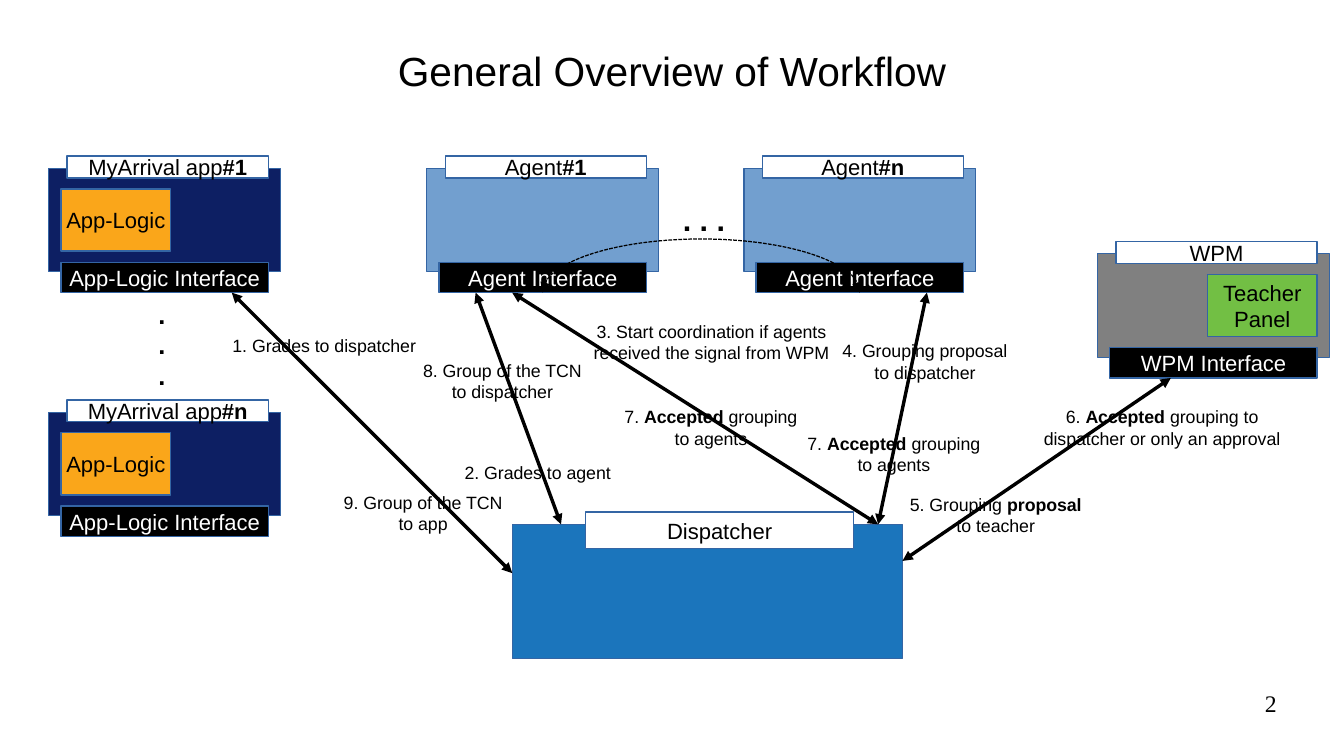
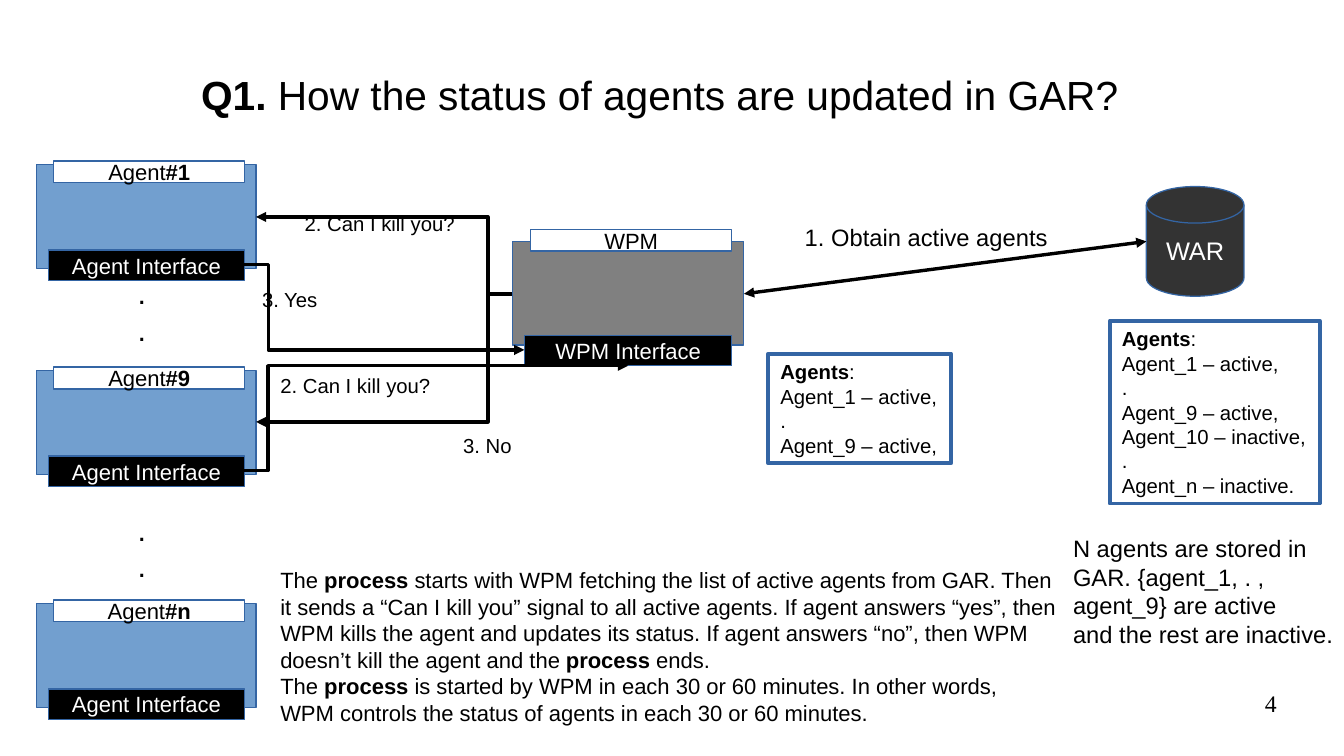
import lxml.etree
import pptx
import pptx.dml.color
import pptx.enum.dml
import pptx.enum.shapes
import pptx.enum.text
import pptx.oxml.ns
import pptx.util

RGB = pptx.dml.color.RGBColor
BLACK = RGB(0x00, 0x00, 0x00)
WHITE = RGB(0xFF, 0xFF, 0xFF)
OUTLINE = RGB(0x34, 0x65, 0xA4)
AGENT_BLUE = RGB(0x72, 0x9F, 0xCF)
DISPATCH_BLUE = RGB(0x1B, 0x75, 0xBC)
APP_NAVY = RGB(0x0D, 0x1F, 0x63)
LOGIC_ORANGE = RGB(0xFA, 0xA6, 0x1A)
PANEL_GREEN = RGB(0x72, 0xBF, 0x44)
WPM_GREY = RGB(0x80, 0x80, 0x80)
STORE_GREY = RGB(0x33, 0x33, 0x33)

SHAPE = pptx.enum.shapes.MSO_SHAPE
CONNECTOR = pptx.enum.shapes.MSO_CONNECTOR
ALIGN = pptx.enum.text.PP_ALIGN
ANCHOR = pptx.enum.text.MSO_ANCHOR
NO_FIT = pptx.enum.text.MSO_AUTO_SIZE.NONE
Pt = pptx.util.Pt
qn = pptx.oxml.ns.qn

# Grid of square cells, ten to the inch
COLUMNS, ROWS = 110.2, 62
CARD_WIDTH, CARD_HEIGHT = 19, 8.5
INSETS = {"margin_left": Pt(7.2), "margin_right": Pt(7.2),
          "margin_top": Pt(3.6), "margin_bottom": Pt(3.6)}
NO_INSETS = dict.fromkeys(INSETS, 0)


def cells(*counts):
    return [pptx.util.Inches(count / 10) for count in counts]


def apply(target, formats):
    for name, value in formats.items():
        setattr(target, name, value)


class Sketch:
    """Holds the deck, its style and the page being drawn."""

    def __init__(self):
        self.deck = pptx.Presentation()
        self.deck.slide_width, self.deck.slide_height = cells(COLUMNS, ROWS)
        self.page = None

    def start_page(self, title, place, number):
        self.page = self.deck.slides.add_slide(self.deck.slide_layouts[5])
        heading = self.page.shapes.title
        apply(heading, dict(zip(("left", "top", "width", "height"), cells(*place))))
        self.fill_text(heading, [title], 24, align=ALIGN.CENTER,
                       anchor=ANCHOR.MIDDLE, insets=NO_INSETS, wrap=True)
        self.label((79, 56.5, 25.7, 4.3), number, size=14, align=ALIGN.RIGHT,
                   font="Times New Roman", insets=NO_INSETS, wrap=True)

    def fill_text(self, box, paragraphs, size, color=BLACK, align=ALIGN.LEFT,
                  anchor=ANCHOR.TOP, font="Arial", insets=INSETS, wrap=False):
        """Fill a box; **...** marks bold, a line feed breaks the line."""
        frame = box.text_frame
        apply(frame, {**insets, "auto_size": NO_FIT, "word_wrap": wrap,
                      "vertical_anchor": anchor})
        for index, text in enumerate(paragraphs):
            para = frame.add_paragraph() if index else frame.paragraphs[0]
            para.alignment = align
            for part, chunk in enumerate(text.split("**")):
                for row, line in enumerate(chunk.split("\n")):
                    if row:
                        para.add_line_break()
                    if line:
                        span = para.add_run()
                        span.text = line
                        apply(span.font, {"name": font, "size": Pt(size),
                                          "bold": part % 2 == 1})
                        span.font.color.rgb = color

    def label(self, place, *paragraphs, size=10.5, **style):
        box = self.page.shapes.add_textbox(*cells(*place))
        self.fill_text(box, paragraphs, size, **style)

    def block(self, place, fill, *paragraphs, kind=SHAPE.RECTANGLE, border=0,
              size=13, color=BLACK, align=ALIGN.CENTER, anchor=ANCHOR.MIDDLE):
        box = self.page.shapes.add_shape(kind, *cells(*place))
        box.shadow.inherit = False
        box.fill.solid()
        box.fill.fore_color.rgb = fill
        box.line.color.rgb = OUTLINE
        box.line.width = Pt(border)
        if paragraphs:
            self.fill_text(box, paragraphs, size, color, align, anchor)

    def card(self, left, top, fill, tag, port, width=CARD_WIDTH, shift=0):
        """Body with a name tag on its top edge and an interface below."""
        scale = width / CARD_WIDTH
        self.block((left, top, width, CARD_HEIGHT), fill)
        self.block((left + 1.5 * scale, top - 1 + shift, 16.5 * scale, 1.8), WHITE, tag)
        self.block((left + scale, top + 7.7 - shift, 17 * scale, 2.5), BLACK, port,
                   color=WHITE)

    def chip(self, left, top, fill, text):
        self.block((left, top, 9, 5.1), fill, text)

    def listing(self, place, *paragraphs):
        self.block(place, WHITE, *paragraphs, border=2.3, size=12,
                   align=ALIGN.LEFT, anchor=ANCHOR.TOP)

    def arrowheads(self, shape, ends):
        outline = shape.element.spPr.find(qn("a:ln"))
        for end in ends:
            lxml.etree.SubElement(outline, qn(f"a:{end}"), type="triangle")

    def arrow(self, start, finish, bend=None):
        """Straight two-way arrow, or a one-way elbow turning at column bend."""
        kind = CONNECTOR.STRAIGHT if bend is None else CONNECTOR.ELBOW
        link = self.page.shapes.add_connector(kind, *cells(*start, *finish))
        link.line.color.rgb = BLACK
        link.line.width = Pt(0)
        properties = link.element.spPr
        if bend is None:
            self.arrowheads(link, ("headEnd", "tailEnd"))
        else:
            turn = round(100000 * (bend - start[0]) / (finish[0] - start[0]))
            guides = properties.find(qn("a:prstGeom")).find(qn("a:avLst"))
            lxml.etree.SubElement(guides, qn("a:gd"), name="adj1", fmla=f"val {turn}")
            self.arrowheads(link, ("tailEnd",))
        lxml.etree.SubElement(properties, qn("a:effectLst"))

    def arch(self, left, right, base, rise):
        """Dashed half ellipse with an arrowhead at each end."""
        arc = self.page.shapes.add_shape(
            SHAPE.ARC, *cells(left, base - rise, right - left, 2 * rise))
        arc.shadow.inherit = False
        arc.adjustments[0], arc.adjustments[1] = 108, 0
        arc.fill.background()
        arc.line.color.rgb = BLACK
        arc.line.width = Pt(0)
        arc.line.dash_style = pptx.enum.dml.MSO_LINE.SQUARE_DOT
        self.arrowheads(arc, ("headEnd", "tailEnd"))


def draw_workflow(sketch):
    sketch.start_page("General Overview of Workflow", (5.5, 2.5, 99.2, 6.5), "2")

    # Components
    sketch.block((42, 43, 32, 11), DISPATCH_BLUE)
    sketch.block((48, 42, 22, 3), WHITE, "Dispatcher")
    for left, mark in ((35, "#1"), (61, "#n")):
        sketch.card(left, 13.8, AGENT_BLUE, f"Agent**{mark}**", "Agent Interface")
    sketch.card(90, 20.8, WPM_GREY, "WPM", "WPM Interface")
    sketch.chip(99, 22.5, PANEL_GREEN, "Teacher\nPanel")
    for top, mark in ((13.8, "#1"), (33.8, "#n")):
        sketch.card(4, top, APP_NAVY, f"MyArrival app**{mark}**", "App-Logic Interface")
        sketch.chip(5, top + 1.7, LOGIC_ORANGE, "App-Logic")
    sketch.label((12, 24, 2.6, 7.9), *["**.**"] * 3, size=15)
    sketch.label((55, 16, 5.5, 3.8), "**. . .**", size=18)

    # Message paths
    sketch.arch(44.5, 70.5, 24, 4.4)
    for start, finish in (((19, 24), (42, 47)), ((39, 24), (46, 43)),
                          ((76, 24), (72, 43)), ((74, 46), (96, 31)),
                          ((42, 24), (72, 43))):
        sketch.arrow(start, finish)

    # Numbered messages
    accepted = "7. **Accepted** grouping\nto agents"
    for left, top, width, text in (
            (18.1, 27, 17, "1. Grades to dispatcher"),
            (37.1, 37.4, 14, "2. Grades to agent"),
            (47.7, 25.8, 21.3, "3. Start coordination if agents\n"
                               "received the signal from WPM"),
            (68.1, 27.4, 15.5, "4. Grouping proposal\nto dispatcher"),
            (73.6, 40, 16.1, "5. Grouping **proposal**\nto teacher"),
            (84.6, 32.8, 21.4, "6. **Accepted** grouping to\n"
                               "dispatcher or only an approval"),
            (65, 35, 16.6, accepted),
            (50, 32.8, 16.6, accepted),
            (33.5, 29, 15.4, "8. Group of the TCN\nto dispatcher"),
            (27, 39.8, 15.4, "9. Group of the TCN\nto app")):
        sketch.label((left, top, width, 4.2), text, align=ALIGN.CENTER)


def draw_status_update(sketch):
    sketch.start_page("**Q1.** How the status of agents are updated in GAR?",
                      (4.5, 2.5, 99.2, 10.4), "4")

    # Components
    for top, mark in ((13.5, "#1"), (30.4, "#9"), (49.5, "#n")):
        sketch.card(3, top, AGENT_BLUE, f"Agent**{mark}**", "Agent Interface",
                    width=18, shift=0.7)
    for top in (22, 41.4):
        sketch.label((10.3, top, 2.7, 6.6), ".", ".", size=18)
    sketch.card(42, 19.8, WPM_GREY, "WPM", "WPM Interface")
    sketch.block((94, 15.3, 8, 9), STORE_GREY, "WAR",
                 kind=SHAPE.FLOWCHART_MAGNETIC_DISK, size=15, color=WHITE)

    # Agent lists
    active = ("**Agents**:", "Agent_1 – active,", ".", "Agent_9 – active,")
    sketch.listing((63, 29, 15, 9), *active)
    sketch.listing((91, 26.3, 17.2, 15), *active,
                   "Agent_10 – inactive,", ".", "Agent_n – inactive.")

    # Message paths
    sketch.arrow((61, 24.1), (94, 19.8))
    for start, finish, bend in (((42, 24.1), (21, 17.8), 40),
                                ((42, 24.1), (21, 34.6), 40),
                                ((20, 21.7), (43, 28.7), 22),
                                ((20, 38.6), (51.5, 30), 22)):
        sketch.arrow(start, finish, bend)

    # Numbered messages
    question = "2. Can I kill you?"
    for left, top, width, text in ((24, 16.8, 14.8, question),
                                   (22, 30.1, 14.8, question),
                                   (20.5, 23.1, 6.5, "3. Yes"),
                                   (37, 35, 6, "3. No")):
        sketch.label((left, top, width, 2.9), text, size=12)
    sketch.label((65, 17.8, 22, 3.2), "1. Obtain active agents", size=14)

    # Explanations
    sketch.label((87, 43.3, 23.4, 9.7),
                 "N agents are stored in\nGAR. {agent_1, . ,\n"
                 "agent_9} are active\nand the rest are inactive.", size=14)
    sketch.label(
        (22, 46, 66, 13.1),
        "The **process** starts with WPM fetching the list of active agents from GAR. Then\n"
        "it sends a “Can I kill you” signal to all active agents. If agent answers “yes”, then\n"
        "WPM kills the agent and updates its status. If agent answers “no”, then WPM\n"
        "doesn’t kill the agent and the **process** ends.",
        "The **process** is started by WPM in each 30 or 60 minutes. In other words,\n"
        "WPM controls the status of agents in each 30 or 60 minutes.", size=13)


def main():
    sketch = Sketch()
    draw_workflow(sketch)
    draw_status_update(sketch)
    sketch.deck.save("out.pptx")


if __name__ == "__main__":
    main()
